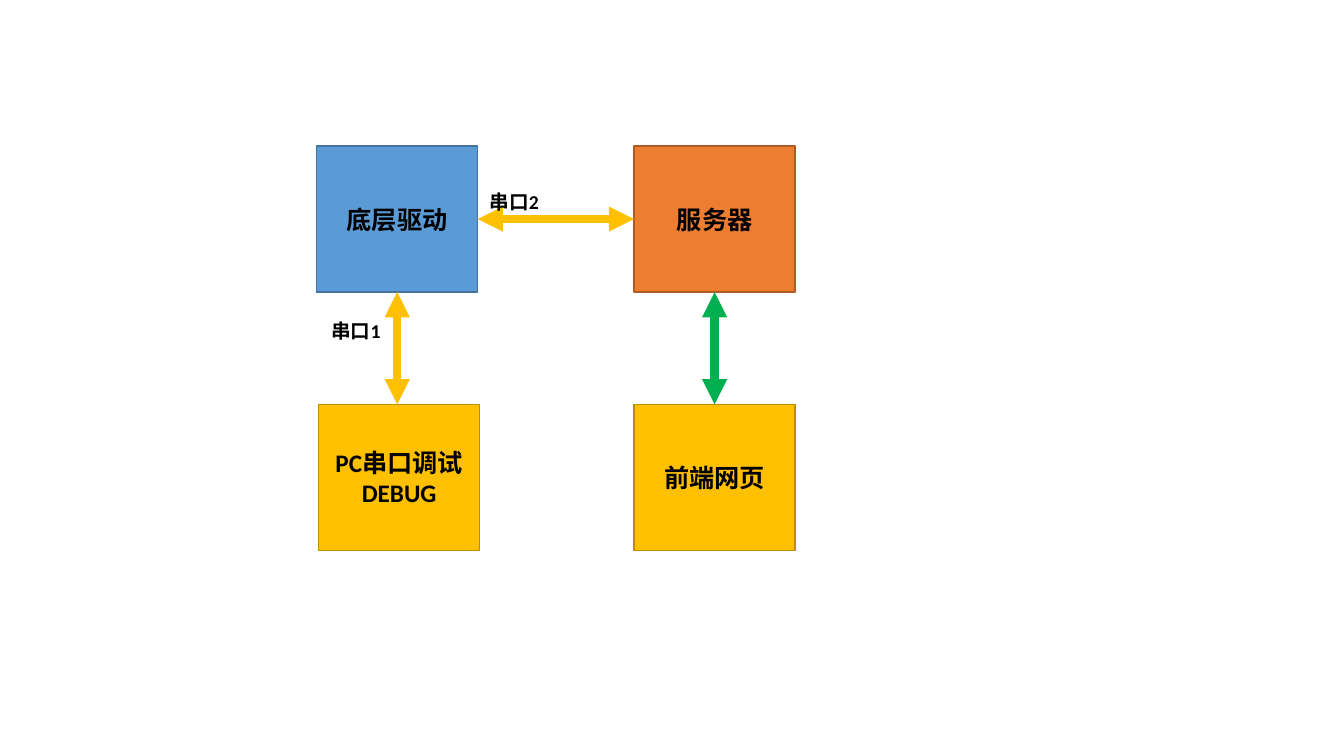
from dataclasses import dataclass

from lxml.etree import SubElement
from pptx import Presentation
from pptx.dml.color import RGBColor
from pptx.enum.shapes import MSO_CONNECTOR, MSO_SHAPE
from pptx.enum.text import MSO_ANCHOR, MSO_AUTO_SIZE, PP_ALIGN
from pptx.oxml.ns import qn
from pptx.slide import Slide
from pptx.text.text import TextFrame
from pptx.util import Cm, Pt

BLACK = RGBColor(0x00, 0x00, 0x00)
BLUE = RGBColor(0x5B, 0x9B, 0xD5)
BLUE_EDGE = RGBColor(0x43, 0x73, 0x9E)
ORANGE = RGBColor(0xED, 0x7D, 0x31)
ORANGE_EDGE = RGBColor(0xAF, 0x5C, 0x24)
GOLD = RGBColor(0xFF, 0xC0, 0x00)
GOLD_EDGE = RGBColor(0xBD, 0x8E, 0x00)
GREEN = RGBColor(0x00, 0xB0, 0x50)

MODULE_WIDTH, MODULE_HEIGHT = 4.06, 3.68
UPPER_ROW, LOWER_ROW = 3.68, 10.19
LEFT_COLUMN, RIGHT_COLUMN = 7.98, 15.98


@dataclass(frozen=True)
class Module:
    """A block of the system; lengths in centimetres."""
    text: str
    left: float
    top: float
    fill: RGBColor
    edge: RGBColor

    @property
    def center(self) -> float:
        return self.left + MODULE_WIDTH / 2

    @property
    def middle(self) -> float:
        return self.top + MODULE_HEIGHT / 2

    @property
    def right(self) -> float:
        return self.left + MODULE_WIDTH

    @property
    def bottom(self) -> float:
        return self.top + MODULE_HEIGHT


@dataclass(frozen=True)
class Link:
    """A two-way connection between modules; lengths in centimetres."""
    start: tuple[float, float]
    end: tuple[float, float]
    color: RGBColor


@dataclass(frozen=True)
class PortLabel:
    """The name of a serial port; lengths in centimetres."""
    text: str
    left: float
    top: float


def write_text(frame: TextFrame, text: str, size: int, align: PP_ALIGN) -> None:
    """Write one bold black paragraph with Latin and Chinese fonts."""
    frame.word_wrap = True
    paragraph = frame.paragraphs[0]
    paragraph.text = text
    paragraph.alignment = align
    font = paragraph.font
    font.size, font.bold = Pt(size), True
    font.color.rgb = BLACK
    font.name = "Calibri"
    defaults = paragraph._p.pPr.find(qn("a:defRPr"))
    SubElement(defaults, qn("a:ea"), typeface="Noto Sans CJK SC")


def add_module(slide: Slide, module: Module) -> None:
    """Draw a module as a filled rectangle."""
    block = slide.shapes.add_shape(
        MSO_SHAPE.RECTANGLE, Cm(module.left), Cm(module.top),
        Cm(MODULE_WIDTH), Cm(MODULE_HEIGHT))
    block.shadow.inherit = False
    block.fill.solid()
    block.fill.fore_color.rgb = module.fill
    block.line.color.rgb = module.edge
    block.line.width = Pt(1)
    block.text_frame.vertical_anchor = MSO_ANCHOR.MIDDLE
    write_text(block.text_frame, module.text, 18, PP_ALIGN.CENTER)


def add_link(slide: Slide, link: Link) -> None:
    """Draw a thick line with a triangle at both ends."""
    arrow = slide.shapes.add_connector(
        MSO_CONNECTOR.STRAIGHT, *map(Cm, link.start + link.end))
    arrow.line.color.rgb = link.color
    arrow.line.width = Pt(6)
    outline = arrow.line._get_or_add_ln()
    for tip in ("a:headEnd", "a:tailEnd"):
        SubElement(outline, qn(tip), type="triangle")
    SubElement(arrow._element.spPr, qn("a:effectLst"))


def add_port_label(slide: Slide, label: PortLabel) -> None:
    """Write the name of a port beside its link."""
    box = slide.shapes.add_textbox(
        Cm(label.left), Cm(label.top), Cm(2.26), Cm(0.86))
    box.text_frame.auto_size = MSO_AUTO_SIZE.SHAPE_TO_FIT_TEXT
    write_text(box.text_frame, label.text, 14, PP_ALIGN.LEFT)


driver = Module("底层驱动", LEFT_COLUMN, UPPER_ROW, BLUE, BLUE_EDGE)
server = Module("服务器", RIGHT_COLUMN, UPPER_ROW, ORANGE, ORANGE_EDGE)
web_page = Module("前端网页", RIGHT_COLUMN, LOWER_ROW, GOLD, GOLD_EDGE)
debugger = Module("PC串口调试DEBUG", LEFT_COLUMN + 0.05, LOWER_ROW, GOLD, GOLD_EDGE)

LINKS = (
    Link((driver.right, driver.middle), (server.left, server.middle), GOLD),
    Link((server.center, server.bottom), (server.center, web_page.top), GREEN),
    Link((driver.center, driver.bottom), (driver.center, debugger.top), GOLD),
)
PORT_LABELS = (PortLabel("串口2", 12.09, 4.67), PortLabel("串口1", 8.1, 7.9))

presentation = Presentation()
presentation.slide_width, presentation.slide_height = Cm(33.87), Cm(19.05)
diagram = presentation.slides.add_slide(presentation.slide_layouts[6])
for module in (driver, server, web_page, debugger):
    add_module(diagram, module)
for link in LINKS:
    add_link(diagram, link)
for label in PORT_LABELS:
    add_port_label(diagram, label)
presentation.save("out.pptx")
